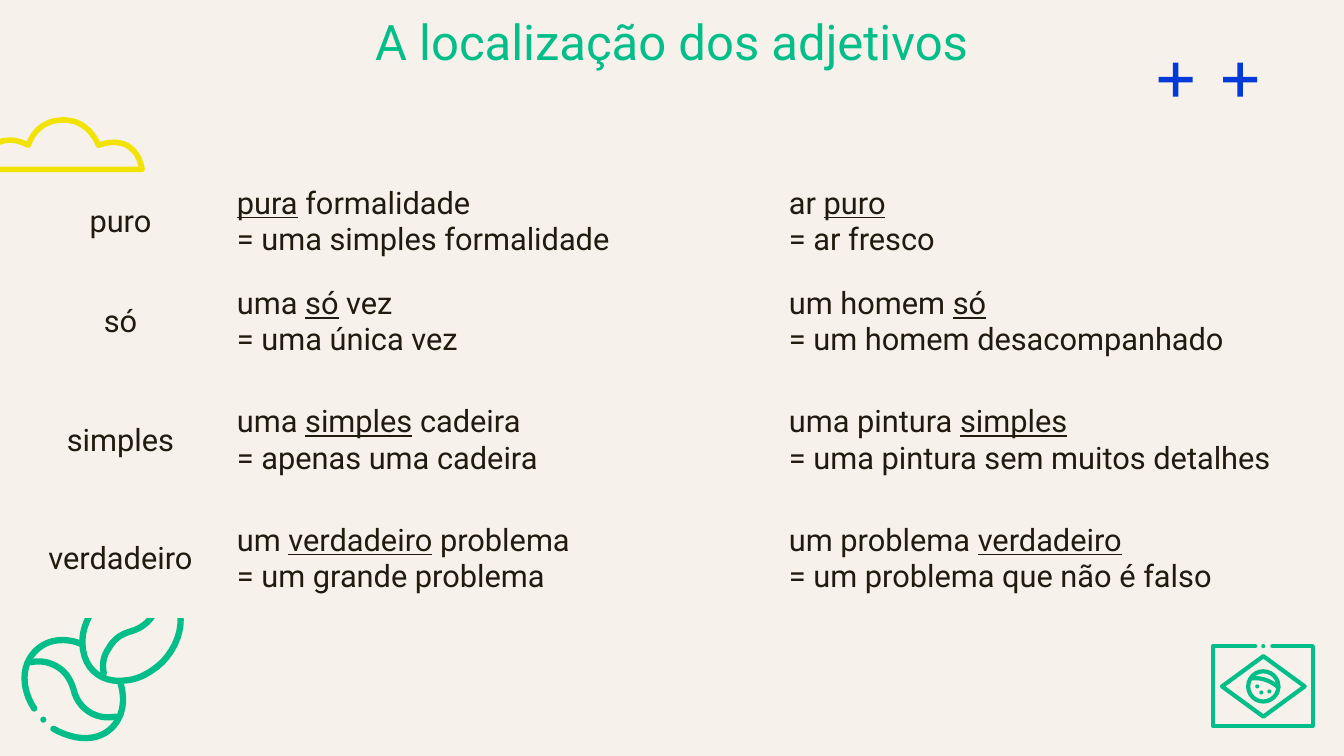
from dataclasses import dataclass
from itertools import product

from lxml.etree import SubElement
from pptx import Presentation
from pptx.dml.color import RGBColor as Color
from pptx.enum.shapes import MSO_SHAPE as Shape
from pptx.enum.text import MSO_ANCHOR as Anchor, MSO_AUTO_SIZE as AutoSize, PP_ALIGN as Align
from pptx.oxml import parse_xml
from pptx.oxml.ns import nsdecls, qn
from pptx.util import Inches, Pt


@dataclass(frozen=True)
class Theme:
    """Colours, font and type sizes of the deck."""
    paper: str = "F6F2EB"
    ink: str = "211A0E"
    green: str = "03BE88"
    yellow: str = "F2E205"
    blue: str = "0439D9"
    font: str = "Roboto"
    title_size: int = 35
    body_size: int = 22


@dataclass(frozen=True)
class Box:
    """A region in inches; its grid has a hundred units to the inch."""
    left: float
    top: float
    width: float
    height: float

    def point(self, column, row):
        """Return the slide position of a grid point."""
        return Inches(self.left + column / 100), Inches(self.top + row / 100)

    def frame(self):
        """Return the four lengths of the region."""
        return [Inches(length) for length in (self.left, self.top, self.width, self.height)]


THEME = Theme()
WIDTH, HEIGHT = 13.33, 7.5
TITLE = "A localização dos adjetivos"
ROWS = [
    ("puro", "_pura_ formalidade\n= uma simples formalidade", "ar _puro_\n= ar fresco"),
    ("só", "uma _só_ vez\n= uma única vez", "um homem _só_\n= um homem desacompanhado"),
    ("simples", "uma _simples_ cadeira\n= apenas uma cadeira",
     "uma pintura _simples_\n= uma pintura sem muitos detalhes"),
    ("verdadeiro", "um _verdadeiro_ problema\n= um grande problema",
     "um problema _verdadeiro_\n= um problema que não é falso"),
]
CLOUD = [(3, 52), (5, 33), (17, 23), (32, 23), (37, 23), (42, 24), (50, 28), (56, 12), (68, 3),
         (85, 3), (100, 3), (112, 11), (120, 28), (142, 20), (159, 29), (163, 52)]
BEANS = [
    [(17, 128), (4, 108), (4, 85), (18, 71), (25, 64), (34, 60), (45, 60),
     (51, 60), (57, 61), (64, 64)],
    [(14, 82), (23, 80), (32, 82), (39, 86), (48, 91), (53, 99), (56, 109),
     (60, 127), (77, 140), (98, 136)],
    [(102, 101), (108, 119), (105, 136), (94, 147), (81, 160), (59, 161), (36, 148)],
    [(65, 56), (67, 43), (73, 31), (83, 21), (95, 9), (109, 3), (124, 3), (135, 3), (144, 6),
     (152, 14), (168, 30), (165, 60), (144, 82), (133, 92), (121, 99), (108, 100),
     (82, 104), (62, 86), (65, 56)],
    [(86, 93), (84, 83), (86, 75), (91, 68), (96, 59), (103, 54), (114, 51),
     (131, 46), (143, 29), (141, 9)],
]
FLAG_FRAME = [(44, 2), (2, 2), (2, 81), (101, 81), (101, 2), (61, 2)]
FLAG_DIAMOND = [(52, 12), (93, 42), (52, 72), (11, 42)]
FLAG_BAND = [(41, 34), (51, 33), (60, 37), (67, 43)]
FLAG_DOTS = [(46, 42), (50, 48), (58, 47), (52, 2)]


def set_all(target, formats):
    """Set every attribute named in a dict of format values."""
    for name, value in formats.items():
        setattr(target, name, value)


def style_span(span, size, color, underline=False):
    """Give a run its font."""
    set_all(span.font, {"name": THEME.font, "size": Pt(size), "bold": False,
                        "underline": underline})
    span.font.color.rgb = Color.from_string(color)


def paint(fill, color):
    """Make a fill solid in one colour."""
    fill.solid()
    fill.fore_color.rgb = Color.from_string(color)


def bezier(points, steps=12):
    """Return a chain of cubic curves as closely spaced points."""
    track = [points[0]]
    for start in range(0, len(points) - 1, 3):
        for step in range(1, steps + 1):
            t = step / steps
            weights = ((1 - t) ** 3, 3 * t * (1 - t) ** 2, 3 * t ** 2 * (1 - t), t ** 3)
            track.append(tuple(sum(weight * point[axis] for weight, point
                                   in zip(weights, points[start:start + 4])) for axis in (0, 1)))
    return track


def outline(shape, color, weight):
    """Leave a shape unfilled, with a round-ended line."""
    shape.shadow.inherit = False
    shape.fill.background()
    paint(shape.line.fill, color)
    shape.line.width = Pt(weight)
    line = shape.line.fill._xPr
    line.set("cap", "rnd")
    SubElement(line, qn("a:round"))


def stroke(page, box, points, color, weight, close=False):
    """Draw one line through grid points of a box."""
    track = [box.point(*point) for point in points]
    builder = page.shapes.build_freeform(*track[0], scale=1.0)
    builder.add_line_segments(track[1:], close=close)
    outline(builder.convert_to_shape(), color, weight)


def disc(page, box, centre, size):
    """Add a circle around a grid point of a box."""
    corner = box.point(*(length - size / 2 for length in centre))
    return page.shapes.add_shape(Shape.OVAL, *corner, *[Inches(size / 100)] * 2)


def solid(shape, color):
    """Give a shape a plain fill without line or shadow."""
    shape.shadow.inherit = False
    paint(shape.fill, color)
    shape.line.fill.background()


def add_pluses(page, box):
    """Place two plus signs at the ends of a box."""
    for left in (box.left, box.left + box.width - box.height):
        frame = Box(left, box.top, box.height, box.height).frame()
        plus = page.shapes.add_shape(Shape.MATH_PLUS, *frame)
        plus.adjustments[0] = 0.118
        solid(plus, THEME.blue)


def add_cloud(page, box):
    """Draw the cloud at the left edge."""
    stroke(page, box, bezier(CLOUD), THEME.yellow, 4, close=True)


def add_beans(page, box):
    """Draw the two beans and their dot."""
    for curve in BEANS:
        stroke(page, box, bezier(curve), THEME.green, 4.5)
    solid(disc(page, box, (26, 139), 6), THEME.green)


def add_flag(page, box):
    """Draw the flag with its frame, diamond, globe and dots."""
    stroke(page, box, FLAG_FRAME, THEME.green, 3)
    stroke(page, box, FLAG_DIAMOND, THEME.green, 3, close=True)
    outline(disc(page, box, (52, 42), 30), THEME.green, 3)
    stroke(page, box, bezier(FLAG_BAND), THEME.green, 3)
    for centre in FLAG_DOTS:
        solid(disc(page, box, centre, 4), THEME.green)


def fill_cell(cell, text, align):
    """Write a cell, underlining what stands between underscores."""
    set_all(cell, {"vertical_anchor": Anchor.MIDDLE,
                   "margin_left": Inches(0.06), "margin_right": Inches(0.06),
                   "margin_top": Inches(0.03), "margin_bottom": Inches(0.03)})
    paint(cell.fill, THEME.paper)
    for index, side in enumerate(("lnL", "lnR", "lnT", "lnB")):
        cell._tc.get_or_add_tcPr().insert(index, parse_xml(
            f'<a:{side} {nsdecls("a")} w="12700"><a:solidFill>'
            f'<a:srgbClr val="{THEME.paper}"/></a:solidFill></a:{side}>'))
    for number, line in enumerate(text.split("\n")):
        para = cell.text_frame.add_paragraph() if number else cell.text_frame.paragraphs[0]
        para.alignment = align
        for index, part in enumerate(line.split("_")):
            if part:
                span = para.add_run()
                span.text = part
                style_span(span, THEME.body_size, THEME.ink, index % 2 == 1)


def add_examples(page, box):
    """Place the table of adjectives and their two meanings."""
    table = page.shapes.add_table(len(ROWS), 3, *box.frame()).table
    set_all(table, {"first_row": False, "horz_banding": False})
    for column, share in zip(table.columns, (1, 2.5, 2.5)):
        column.width = Inches(box.width * share / 6)
    for row, share in zip(table.rows, (0.7, 1, 1, 1)):
        row.height = Inches(box.height * share / 3.7)
    for row, column in product(range(len(ROWS)), range(3)):
        fill_cell(table.cell(row, column), ROWS[row][column],
                  Align.LEFT if column else Align.CENTER)


def add_title(page, box):
    """Move and format the title placeholder."""
    title = page.shapes.title
    set_all(title, dict(zip(("left", "top", "width", "height"), box.frame())))
    margins = {f"margin_{side}": Inches(0.1) for side in ("left", "right", "top", "bottom")}
    set_all(title.text_frame, {"text": TITLE, "word_wrap": True, "auto_size": AutoSize.NONE,
                               "vertical_anchor": Anchor.TOP, **margins})
    para = title.text_frame.paragraphs[0]
    set_all(para, {"alignment": Align.CENTER, "line_spacing": 0.9})
    style_span(para.runs[0], THEME.title_size, THEME.green)


def main():
    """Build the deck with its one slide."""
    deck = Presentation()
    set_all(deck, {"slide_width": Inches(WIDTH), "slide_height": Inches(HEIGHT)})
    page = deck.slides.add_slide(deck.slide_layouts[5])
    paint(page.background.fill, THEME.paper)
    add_pluses(page, Box(11.43, 0.56, 1.1, 0.46))
    add_cloud(page, Box(-0.22, 1.16, 1.66, 0.55))
    add_flag(page, Box(12.01, 6.39, 1.03, 0.84))
    add_beans(page, Box(0.17, 5.75, 1.66, 1.61))
    add_examples(page, Box(0.1, 1.79, 13.14, 4.34))
    add_title(page, Box(1.04, 0.08, 11.25, 0.91))
    deck.save("out.pptx")


if __name__ == "__main__":
    main()
